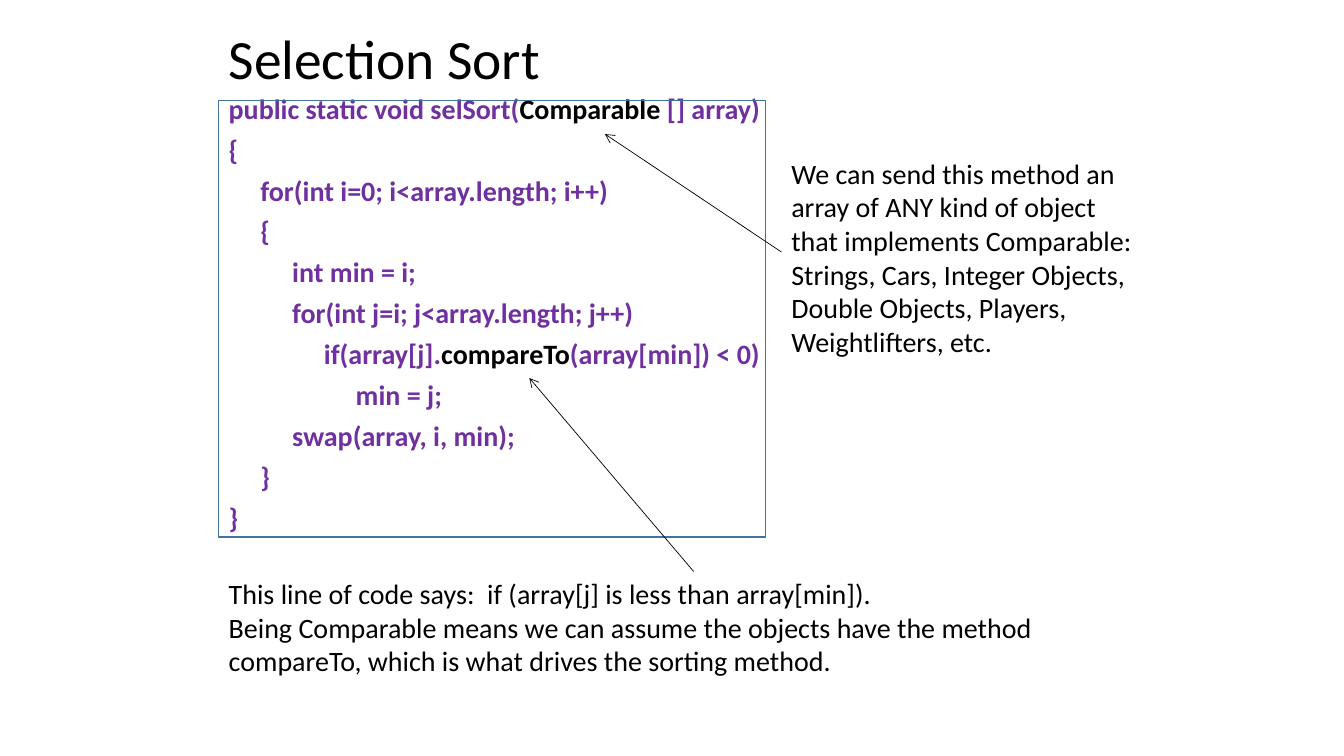
from lxml.etree import SubElement
from pptx import Presentation
from pptx.dml.color import RGBColor
from pptx.enum.shapes import MSO_CONNECTOR, MSO_SHAPE
from pptx.enum.text import MSO_ANCHOR
from pptx.oxml.ns import qn
from pptx.util import Inches, Pt

COLORS = {"text": "000000", "code": "7030A0", "frame": "43739E"}
INDENT = 0.315

title = [(0, ["Selection Sort"])]
code = [
    (0, ["public static void selSort(", "Comparable", " [] array)"]),
    (0, ["{"]),
    (1, ["for(int i=0; i<array.length; i++)"]),
    (1, ["{"]),
    (2, ["int min = i;"]),
    (2, ["for(int j=i; j<array.length; j++)"]),
    (3, ["if(array[j].", "compareTo", "(array[min]) < 0)"]),
    (4, ["min = j;"]),
    (2, ["swap(array, i, min);"]),
    (1, ["}"]),
    (0, ["}"]),
]
parameter_note = [
    (0, ["We can send this method an array of ANY kind of object that implements Comparable:"]),
    (0, ["Strings, Cars, Integer Objects, Double Objects, Players, Weightlifters, etc."]),
]
compare_note = [
    (0, ["This line of code says:  if (array[j] is less than array[min])."]),
    (0, ["Being Comparable means we can assume the objects have the method compareTo, "
         "which is what drives the sorting method."]),
]

NOTE = {"font": {"name": "Calibri", "size": Pt(20)}, "paragraph": {},
        "colors": ["text"], "anchor": MSO_ANCHOR.TOP}
TITLE = {**NOTE, "font": {"name": "Calibri", "size": Pt(39.6)},
         "paragraph": {"line_spacing": 0.9}, "anchor": MSO_ANCHOR.MIDDLE}
CODE = {**NOTE, "font": {**NOTE["font"], "bold": True},
        "paragraph": {"line_spacing": 0.8, "space_before": Pt(10)},
        "colors": ["code", "text"]}

texts = [
    (title, (2.17, 0.3, 9, 0.62), TITLE),
    (code, (2.17, 0.92, 5.58, 4.5), CODE),
    (parameter_note, (7.75, 1.5, 3.58, 2.12), NOTE),
    (compare_note, (2.17, 5.67, 9.17, 1.45), NOTE),
]
code_frame = (2.17, 1, 5.42, 4.33)
pointers = [(7.75, 2.5, 6, 1.33), (6.88, 5.67, 5.25, 3.75)]


def color(name):
    return RGBColor.from_string(COLORS[name])


def apply(target, values):
    for key, value in values.items():
        setattr(target, key, value)


def add_text(slide, lines, box, style):
    frame = slide.shapes.add_textbox(*map(Inches, box)).text_frame
    apply(frame, {"word_wrap": True, "vertical_anchor": style["anchor"]})
    for number, (level, pieces) in enumerate(lines):
        paragraph = frame.add_paragraph() if number else frame.paragraphs[0]
        apply(paragraph, style["paragraph"])
        if level:
            paragraph._p.get_or_add_pPr().set("marL", str(Inches(level * INDENT)))
        for position, piece in enumerate(pieces):
            run = paragraph.add_run()
            run.text = piece
            apply(run.font, style["font"])
            run.font.color.rgb = color(style["colors"][position % 2])


def add_pointer(slide, ends):
    pointer = slide.shapes.add_connector(MSO_CONNECTOR.STRAIGHT, *map(Inches, ends))
    pointer.line.color.rgb = color("text")
    pointer.line.width = Pt(0.5)
    SubElement(pointer.line._get_or_add_ln(), qn("a:tailEnd"), type="arrow")
    SubElement(pointer._element.spPr, qn("a:effectLst"))


deck = Presentation()
apply(deck, {"slide_width": Inches(13.33), "slide_height": Inches(7.5)})
slide = deck.slides.add_slide(deck.slide_layouts[6])

for text in texts:
    add_text(slide, *text)

outline = slide.shapes.add_shape(MSO_SHAPE.RECTANGLE, *map(Inches, code_frame))
outline.shadow.inherit = False
outline.fill.background()
outline.line.color.rgb = color("frame")
outline.line.width = Pt(1)

for ends in pointers:
    add_pointer(slide, ends)

deck.save("out.pptx")
